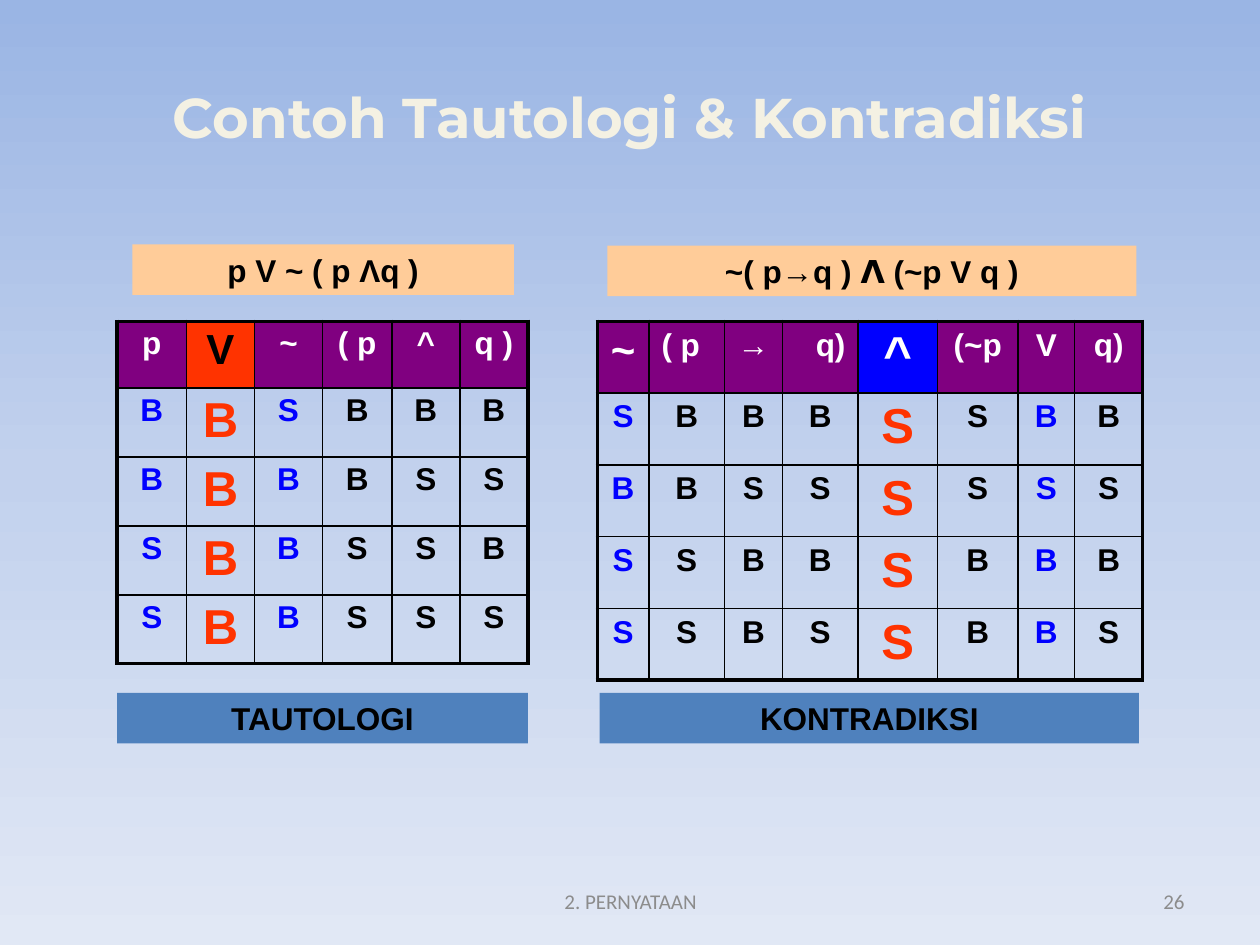
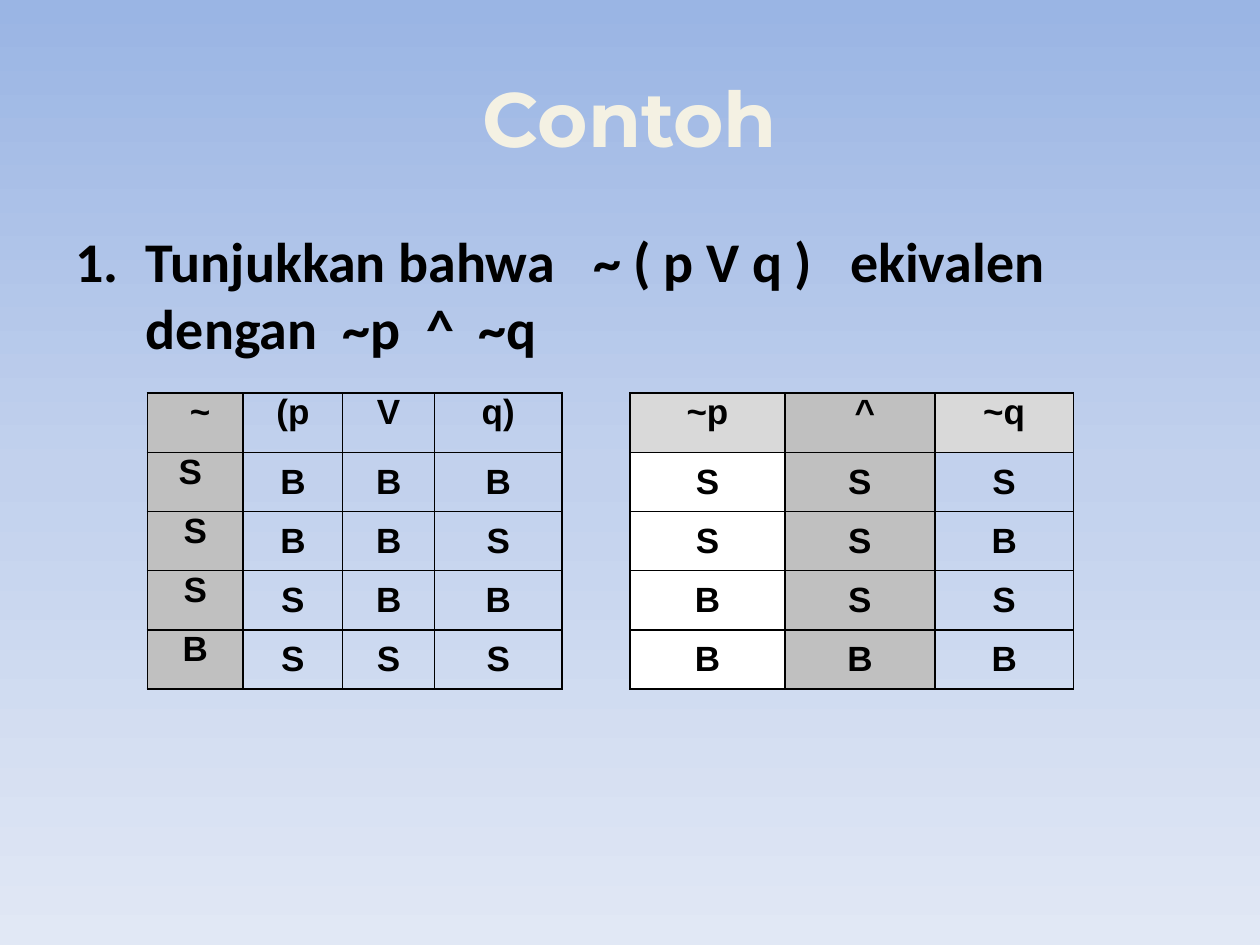
"""Build two slides of truth tables: tautology, contradiction and equivalence."""
import copy
from dataclasses import dataclass

import pptx
import pptx.dml.color
import pptx.enum.shapes
import pptx.enum.text
import pptx.oxml.ns
import pptx.slide
import pptx.table
import pptx.text.text
import pptx.util
from lxml import etree
from pptx.util import Inches

ALIGN = pptx.enum.text.PP_ALIGN
ANCHOR = pptx.enum.text.MSO_ANCHOR
qn = pptx.oxml.ns.qn

BLACK, WHITE, BLUE, RED = "000000", "FFFFFF", "0000FF", "FF3300"
PURPLE, PEACH, STEEL = "800080", "FFCC99", "4F81BD"
SILVER, PALE, GRAY = "C0C0C0", "D9D9D9", "8C8C8C"
CREAM, NAVY = "F4F1E3", "054697"
SKY = ("9AB5E4", "C2D1ED", "E1E8F5")


@dataclass
class Column:
    head: str
    marks: list[str]
    width: float
    ink: str = BLACK
    size: int = 18
    head_ink: str = WHITE
    head_size: int = 18
    head_fill: str | None = PURPLE
    fill: str | None = None
    align: ALIGN = ALIGN.CENTER
    anchor: ANCHOR = ANCHOR.TOP


@dataclass
class Grid:
    left: float
    top: float
    row: float
    edge: float
    pad: tuple[float, float]
    columns: list[Column]


@dataclass
class Band:
    text: str
    left: float
    top: float
    width: float
    fill: str


@dataclass
class Note:
    text: str
    left: float
    width: float
    align: ALIGN


def wide(head: str, marks: str, width: float, ink: str = BLACK, **more) -> Column:
    return Column(head, list(marks), width, ink, **more)


def plain(head: str, marks: list[str], width: float, head_fill: str | None = None,
          fill: str | None = None, anchor: ANCHOR = ANCHOR.MIDDLE) -> Column:
    return Column(head, marks, width, BLACK, 20, BLACK, 20, head_fill, fill, anchor=anchor)


TOP, LOW = 2.55, 5.5
GRIDS = [
    Grid(0.93, TOP, 0.53, 2.25, (0.1, 0.04), [
        wide("p", "BBSS", 0.55, BLUE),
        wide("V", "BBBB", 0.54, RED, size=28, head_ink=BLACK, head_size=24, head_fill=RED),
        wide("~", "SBBB", 0.54, BLUE),
        wide("( p", "BBSS", 0.55),
        wide("^", "BSSS", 0.54),
        wide("q )", "BSBS", 0.54),
    ]),
    Grid(4.74, TOP, 0.57, 2.25, (0.1, 0.05), [
        wide("~", "SBSS", 0.41, BLUE, head_size=24),
        wide("( p", "BBSS", 0.6, align=ALIGN.LEFT),
        wide("→", "BSBB", 0.46),
        wide("q)", "BSBS", 0.6, align=ALIGN.RIGHT),
        wide("^", "SSSS", 0.63, RED, size=28, head_size=28, head_fill=BLUE),
        wide("(~p", "SSBB", 0.64),
        wide("V", "BSBB", 0.45, BLUE),
        wide("q)", "BSBS", 0.54),
    ]),
]
PROOF = [
    Grid(1.17, 3.12, 0.47, 1, (0.07, 0), [
        plain(" ~", ["S ", "S", "S", "B"], 0.76, SILVER, SILVER, ANCHOR.TOP),
        plain("(p", list("BBSS"), 0.79),
        plain("V", list("BBBS"), 0.73),
        plain("q)", list("BSBS"), 1.01),
    ]),
    Grid(5, 3.12, 0.47, 1, (0.07, 0), [
        plain("~p", list("SSBB"), 1.23, PALE, WHITE),
        plain(" ^", list("SSSB"), 1.19, SILVER, SILVER),
        plain("~q", list("SBSB"), 1.1, PALE),
    ]),
]
BANDS = [
    Band("TAUTOLOGI", 0.93, LOW, 3.26, STEEL),
    Band("~( p→q ) Λ (~p V q )", 4.82, 1.95, 4.2, PEACH),
    Band("p V ~ ( p Λq )", 1.05, 1.94, 3.03, PEACH),
    Band("KONTRADIKSI", 4.76, LOW, 4.28, STEEL),
]
NOTES = [
    Note("2. PERNYATAAN", 3.42, 3.17, ALIGN.CENTER),
    Note("26", 7.17, 2.33, ALIGN.RIGHT),
]
TASK = "Tunjukkan bahwa\t~ ( p V q )\tekivalen dengan\t~p\t^\t~q"
STOPS = (2.12, 2.79, 3.2, 4.11, 6.15)


def tint(code: str) -> pptx.dml.color.RGBColor:
    return pptx.dml.color.RGBColor.from_string(code)


def style(para: pptx.text.text._Paragraph, size: int, ink: str, align: ALIGN,
          face: str = "Arial", bold: bool = True) -> None:
    para.alignment = align
    font = para.font
    font.name, font.size, font.bold = face, pptx.util.Pt(size), bold
    font.color.rgb = tint(ink)


def add_line(parent: etree._Element, tag: str, points: float, ink: str) -> etree._Element:
    line = etree.SubElement(parent, qn(tag), w=str(pptx.util.Pt(points)))
    solid = etree.SubElement(line, qn("a:solidFill"))
    etree.SubElement(solid, qn("a:srgbClr"), val=ink)
    return line


def paint_back(master: pptx.slide.SlideMaster) -> None:
    fill = master.background.fill
    fill.gradient()
    fill.gradient_angle = 270
    first = fill.gradient_stops[0]._gs
    first.addnext(copy.deepcopy(first))
    for stop, code, place in zip(fill.gradient_stops, SKY, (0, 0.5, 1)):
        stop.color.rgb = tint(code)
        stop.position = place


def add_page(deck: pptx.presentation.Presentation, text: str, size: int) -> pptx.slide.Slide:
    page = deck.slides.add_slide(deck.slide_layouts[5])
    title = page.shapes.title
    title.left, title.top = Inches(0.5), Inches(0.3)
    title.width, title.height = Inches(9), Inches(1.25)
    title.text_frame.text = text
    title.text_frame.vertical_anchor = ANCHOR.MIDDLE
    para = title.text_frame.paragraphs[0]
    style(para, size, CREAM, ALIGN.CENTER, "Montserrat")
    props = para._p.pPr.find(qn("a:defRPr"))
    props.insert(0, add_line(props, "a:ln", 1, NAVY))
    return page


def add_band(page: pptx.slide.Slide, band: Band) -> None:
    shape = page.shapes.add_shape(
        pptx.enum.shapes.MSO_SHAPE.RECTANGLE,
        Inches(band.left), Inches(band.top), Inches(band.width), Inches(0.4))
    shape.shadow.inherit = False
    shape.fill.solid()
    shape.fill.fore_color.rgb = tint(band.fill)
    shape.line.fill.background()
    frame = shape.text_frame
    frame.vertical_anchor = ANCHOR.TOP
    para = frame.paragraphs[0]
    style(para, 18, BLACK, ALIGN.CENTER)
    before, wedge, after = band.text.partition(" Λ ")
    for part in filter(None, (before + wedge[:1], wedge.strip(), wedge[2:] + after)):
        run = para.add_run()
        run.text = part
        run.font.color.rgb = tint(BLACK)
        if part == "Λ":
            run.font.name = "DejaVu Sans"


def add_note(page: pptx.slide.Slide, note: Note) -> None:
    box = page.shapes.add_textbox(
        Inches(note.left), Inches(6.95), Inches(note.width), Inches(0.4))
    frame = box.text_frame
    frame.word_wrap = True
    frame.vertical_anchor = ANCHOR.MIDDLE
    frame.text = note.text
    style(frame.paragraphs[0], 12, GRAY, note.align, "Calibri", False)


def add_task(page: pptx.slide.Slide) -> None:
    box = page.shapes.add_textbox(Inches(0.5), Inches(1.75), Inches(9), Inches(1.25))
    frame = box.text_frame
    frame.word_wrap = True
    para = frame.paragraphs[0]
    para.add_run().text = TASK
    props = para._p.get_or_add_pPr()
    props.set("marL", str(Inches(0.56)))
    props.set("indent", str(Inches(-0.56)))
    etree.SubElement(props, qn("a:buFont"), typeface="+mj-lt")
    etree.SubElement(props, qn("a:buAutoNum"), type="arabicPeriod")
    tabs = etree.SubElement(props, qn("a:tabLst"))
    for stop in STOPS:
        etree.SubElement(tabs, qn("a:tab"), pos=str(Inches(stop)), algn="l")
    style(para, 32, BLACK, ALIGN.LEFT, "Calibri")


def fill_cell(cell: pptx.table._Cell, text: str, column: Column, is_head: bool,
              pad: tuple[float, float]) -> None:
    cell.text = text
    cell.margin_left = cell.margin_right = Inches(pad[0])
    cell.margin_top = cell.margin_bottom = Inches(pad[1])
    cell.vertical_anchor = ANCHOR.TOP if is_head else column.anchor
    if is_head:
        size, ink, fill, align = column.head_size, column.head_ink, column.head_fill, column.align
    else:
        size, ink, fill, align = column.size, column.ink, column.fill, ALIGN.CENTER
    if fill:
        cell.fill.solid()
        cell.fill.fore_color.rgb = tint(fill)
    else:
        cell.fill.background()
    style(cell.text_frame.paragraphs[0], size, ink, align)


def add_grid(page: pptx.slide.Slide, grid: Grid) -> None:
    wide_n, tall_n = len(grid.columns), len(grid.columns[0].marks) + 1
    total = sum(column.width for column in grid.columns)
    table = page.shapes.add_table(
        tall_n, wide_n, Inches(grid.left), Inches(grid.top),
        Inches(total), Inches(grid.row * tall_n)).table
    table.first_row = table.horz_banding = False
    for row in table.rows:
        row.height = Inches(grid.row)
    for x, column in enumerate(grid.columns):
        table.columns[x].width = Inches(column.width)
        for y, text in enumerate([column.head, *column.marks]):
            cell = table.cell(y, x)
            props = cell._tc.get_or_add_tcPr()
            outer = {"L": x == 0, "R": x == wide_n - 1, "T": y == 0, "B": y == tall_n - 1}
            for side, is_edge in outer.items():
                add_line(props, f"a:ln{side}", grid.edge if is_edge else 1, BLACK)
            fill_cell(cell, text, column, y == 0, grid.pad)


def main() -> None:
    deck = pptx.Presentation()
    deck.slide_width, deck.slide_height = Inches(10), Inches(7.5)
    paint_back(deck.slide_master)

    page = add_page(deck, "Contoh Tautologi & Kontradiksi", 32)
    for note in NOTES:
        add_note(page, note)
    for band in BANDS:
        add_band(page, band)
    for grid in GRIDS:
        add_grid(page, grid)

    page = add_page(deck, "Contoh", 44)
    add_task(page)
    for grid in PROOF:
        add_grid(page, grid)
    deck.save("out.pptx")


if __name__ == "__main__":
    main()
